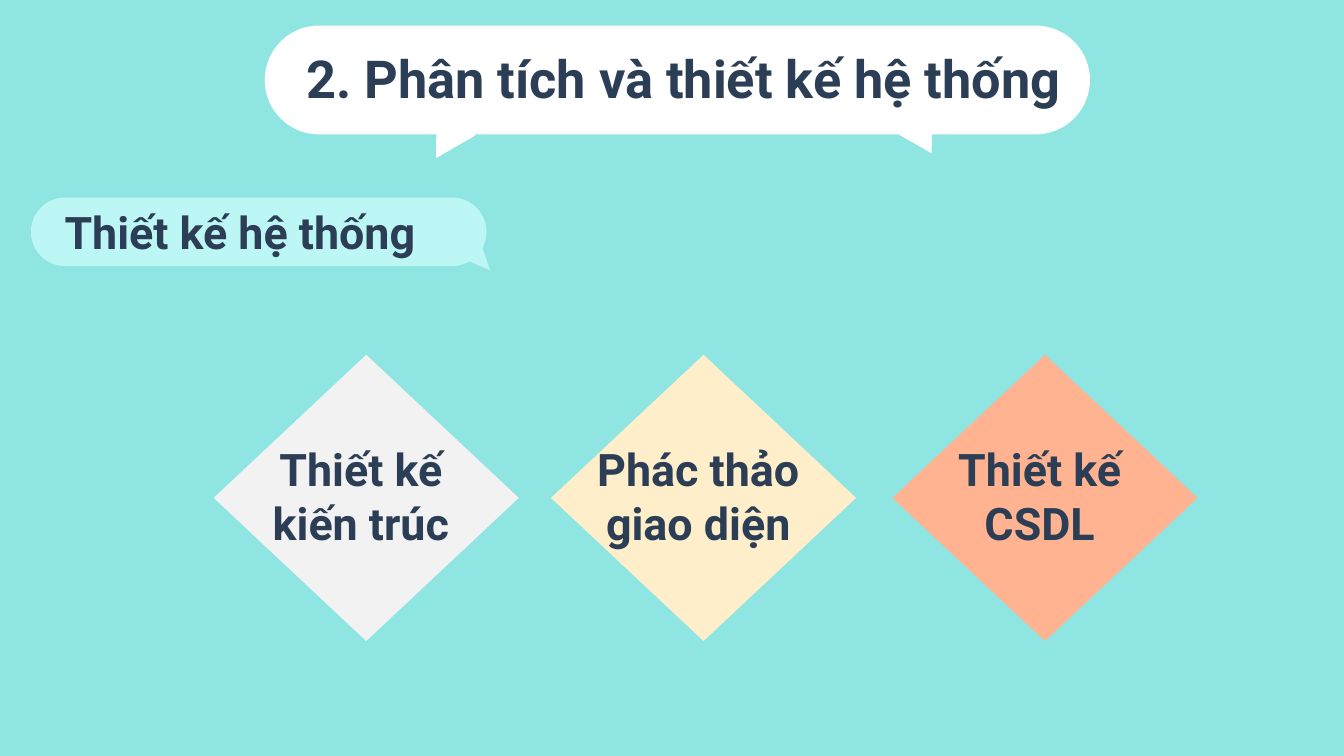
from pptx import Presentation
from pptx.dml.color import RGBColor
from pptx.enum import shapes, text
from pptx.util import Inches, Pt

SHAPE = shapes.MSO_SHAPE
NAVY = "2B3E55"


def rgb(value):
    return RGBColor.from_string(value)


def add_filled(s, kind, x, y, w, h, color, rotation=0):
    sp = s.shapes.add_shape(kind, Inches(x), Inches(y), Inches(w), Inches(h))
    sp.shadow.inherit = False
    sp.fill.solid()
    sp.fill.fore_color.rgb = rgb(color)
    sp.line.fill.background()
    sp.rotation = rotation
    return sp


def add_label(s, x, y, w, h, words, size):
    tf = s.shapes.add_textbox(Inches(x), Inches(y), Inches(w), Inches(h)).text_frame
    tf.word_wrap = True
    tf.vertical_anchor = text.MSO_ANCHOR.MIDDLE
    tf.margin_left = tf.margin_right = tf.margin_top = tf.margin_bottom = Inches(0.1)
    tf.text = words
    p = tf.paragraphs[0]
    p.alignment = text.PP_ALIGN.CENTER
    font = p.runs[0].font
    font.name = "Roboto"
    font.size = Pt(size)
    font.bold = True
    font.color.rgb = rgb(NAVY)


def add_bubble(s, x, y, w, h, color, tails):
    body = add_filled(s, SHAPE.ROUNDED_RECTANGLE, x, y, w, h, color)
    body.adjustments[0] = 0.5
    for dx, dy, tail_w, tail_h, rotation in tails:
        add_filled(s, SHAPE.ISOSCELES_TRIANGLE, x + dx, y + dy, tail_w, tail_h, color, rotation)


def add_title(s, x, y, w, h):
    tails = [(4.72, 0.68, 0.34, 0.29, 150), (1.18, 0.63, 0.34, 0.29, 330)]
    add_bubble(s, x, y, w, h, "FFFFFF", tails)
    add_label(s, x + 0.09, y + 0.1, w - 0.09, 0.58, "2. Phân tích và thiết kế hệ thống", 28)


def add_subtitle(s, x, y, w, h):
    add_bubble(s, x, y, w, h, "BCF7F5", [(3.12, 0.29, 0.35, 0.19, 23.6)])
    add_label(s, x - 0.38, y - 0.04, w + 0.48, 0.58, "Thiết kế hệ thống", 24)


def add_diamond(s, x, y, w, h, color, words):
    add_filled(s, SHAPE.DIAMOND, x, y, w, h, color)
    add_label(s, x + 0.24, y + 0.76, 1.71, 0.58, words, 24)


def main():
    prs = Presentation()
    prs.slide_width = Inches(10)
    prs.slide_height = prs.slide_width * 9 // 16
    s = prs.slides.add_slide(prs.slide_layouts[6])
    s.background.fill.solid()
    s.background.fill.fore_color.rgb = rgb("8FE5E2")

    add_title(s, 1.97, 0.19, 6.14, 0.81)
    add_subtitle(s, 0.23, 1.47, 3.39, 0.51)
    steps = [
        (1.59, "F2F2F2", "Thiết kế kiến trúc"),
        (4.1, "FFEECA", "Phác thảo giao diện"),
        (6.64, "FFB391", "Thiết kế CSDL"),
    ]
    for x, color, words in steps:
        add_diamond(s, x, 2.64, 2.27, 2.13, color, words)

    prs.save("out.pptx")


if __name__ == "__main__":
    main()
